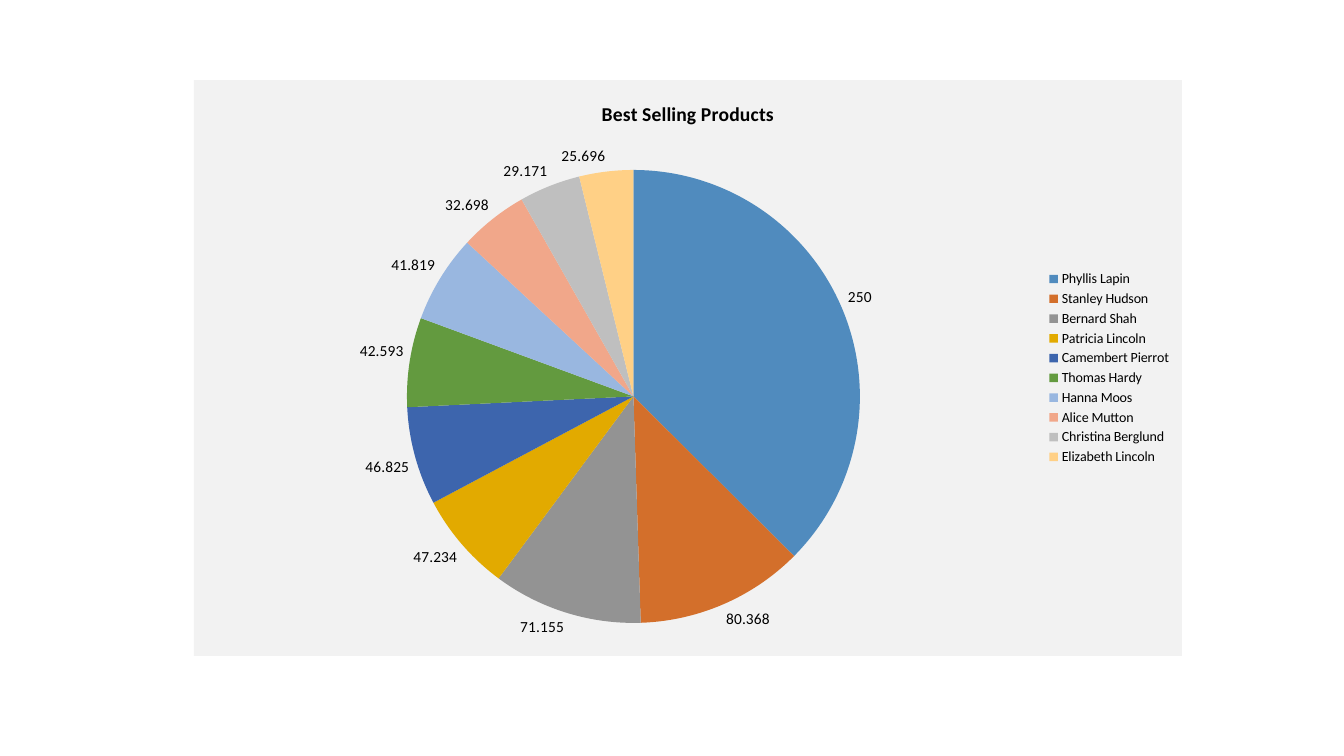
import lxml.etree
import pptx
import pptx.chart.data
import pptx.dml.color
import pptx.enum.chart
import pptx.oxml
import pptx.oxml.ns
import pptx.util

RGB = pptx.dml.color.RGBColor
BLACK = RGB(0x00, 0x00, 0x00)
PANEL_GRAY = RGB(0xF2, 0xF2, 0xF2)
FONT = "Calibri"

# Content: name, value, slice colour
TITLE = "Best Selling Products"
SALES = [
    ("Phyllis Lapin", 250, RGB(0x50, 0x8B, 0xBE)),
    ("Stanley Hudson", 80.368, RGB(0xD3, 0x6F, 0x2B)),
    ("Bernard Shah", 71.155, RGB(0x93, 0x93, 0x93)),
    ("Patricia Lincoln", 47.234, RGB(0xE2, 0xAA, 0x00)),
    ("Camembert Pierrot", 46.825, RGB(0x3D, 0x65, 0xAD)),
    ("Thomas Hardy", 42.593, RGB(0x63, 0x9A, 0x3F)),
    ("Hanna Moos", 41.819, RGB(0x99, 0xB7, 0xE0)),
    ("Alice Mutton", 32.698, RGB(0xF1, 0xA7, 0x8A)),
    ("Christina Berglund", 29.171, RGB(0xBF, 0xBF, 0xBF)),
    ("Elizabeth Lincoln", 25.696, RGB(0xFF, 0xD0, 0x86)),
]

# Lengths in px
PX = 914400 / 100.8
SLIDE_SIZE = (1344, 756)
CHART_BOX = (194, 80, 988, 576)
PIE_BOX = (213, 90, 453, 453)  # inside the chart

TITLE_FORMAT = {"size": pptx.util.Pt(14), "bold": True, "name": FONT}
TEXT_FORMAT = {"size": pptx.util.Pt(10), "bold": False, "name": FONT}
LABEL_FORMAT = {"size": pptx.util.Pt(11), "bold": False, "name": FONT}


def emu(px):
    return pptx.util.Emu(round(px * PX))


def format_font(font, values):
    for name, value in values.items():
        setattr(font, name, value)
    font.color.rgb = BLACK


def fill_chart(chart, color):
    """Fill the whole chart area, without a border."""
    chart_space = chart.element
    properties = pptx.oxml.parse_xml(
        f'<c:spPr {pptx.oxml.ns.nsdecls("c", "a")}>'
        f'<a:solidFill><a:srgbClr val="{color}"/></a:solidFill>'
        '<a:ln><a:noFill/></a:ln></c:spPr>'
    )
    chart_space.find(pptx.oxml.ns.qn("c:chart")).addnext(properties)


def place_pie(chart):
    """Fix the pie's place as shares of the chart's size."""
    plot_area = chart.element.find(".//" + pptx.oxml.ns.qn("c:plotArea"))
    for old_layout in plot_area.findall(pptx.oxml.ns.qn("c:layout")):
        plot_area.remove(old_layout)
    layout = pptx.oxml.parse_xml(
        f'<c:layout {pptx.oxml.ns.nsdecls("c")}><c:manualLayout/></c:layout>'
    )
    settings = [("layoutTarget", "inner"), ("xMode", "edge"), ("yMode", "edge")]
    for name, length, whole in zip("xywh", PIE_BOX, CHART_BOX[2:] * 2):
        settings.append((name, str(length / whole)))
    for name, value in settings:
        lxml.etree.SubElement(layout[0], pptx.oxml.ns.qn("c:" + name)).set("val", value)
    plot_area.insert(0, layout)


def add_sales_pie(slide):
    names, values, colors = zip(*SALES)
    data = pptx.chart.data.CategoryChartData()
    data.categories = names
    data.add_series("Series 1", values)
    chart = slide.shapes.add_chart(
        pptx.enum.chart.XL_CHART_TYPE.PIE, *map(emu, CHART_BOX), data
    ).chart
    format_font(chart.font, TEXT_FORMAT)
    fill_chart(chart, PANEL_GRAY)
    place_pie(chart)

    # Title
    chart.has_title = True
    chart.chart_title.include_in_layout = False
    title_frame = chart.chart_title.text_frame
    title_frame.text = TITLE
    format_font(title_frame.paragraphs[0].runs[0].font, TITLE_FORMAT)

    # Legend
    chart.has_legend = True
    chart.legend.position = pptx.enum.chart.XL_LEGEND_POSITION.RIGHT
    chart.legend.include_in_layout = False
    format_font(chart.legend.font, TEXT_FORMAT)

    # Slices and values
    plot = chart.plots[0]
    plot.vary_by_categories = True
    for index, color in enumerate(colors):
        point_format = plot.series[0].points[index].format
        point_format.fill.solid()
        point_format.fill.fore_color.rgb = color
        point_format.line.fill.background()
    plot.has_data_labels = True
    labels = plot.data_labels
    labels.show_value = True
    labels.show_percentage = False
    labels.number_format = "General"
    labels.number_format_is_linked = False
    labels.position = pptx.enum.chart.XL_LABEL_POSITION.OUTSIDE_END
    format_font(labels.font, LABEL_FORMAT)


def main():
    presentation = pptx.Presentation()
    presentation.slide_width, presentation.slide_height = map(emu, SLIDE_SIZE)
    slide = presentation.slides.add_slide(presentation.slide_layouts[6])
    add_sales_pie(slide)
    presentation.save("out.pptx")


if __name__ == "__main__":
    main()
